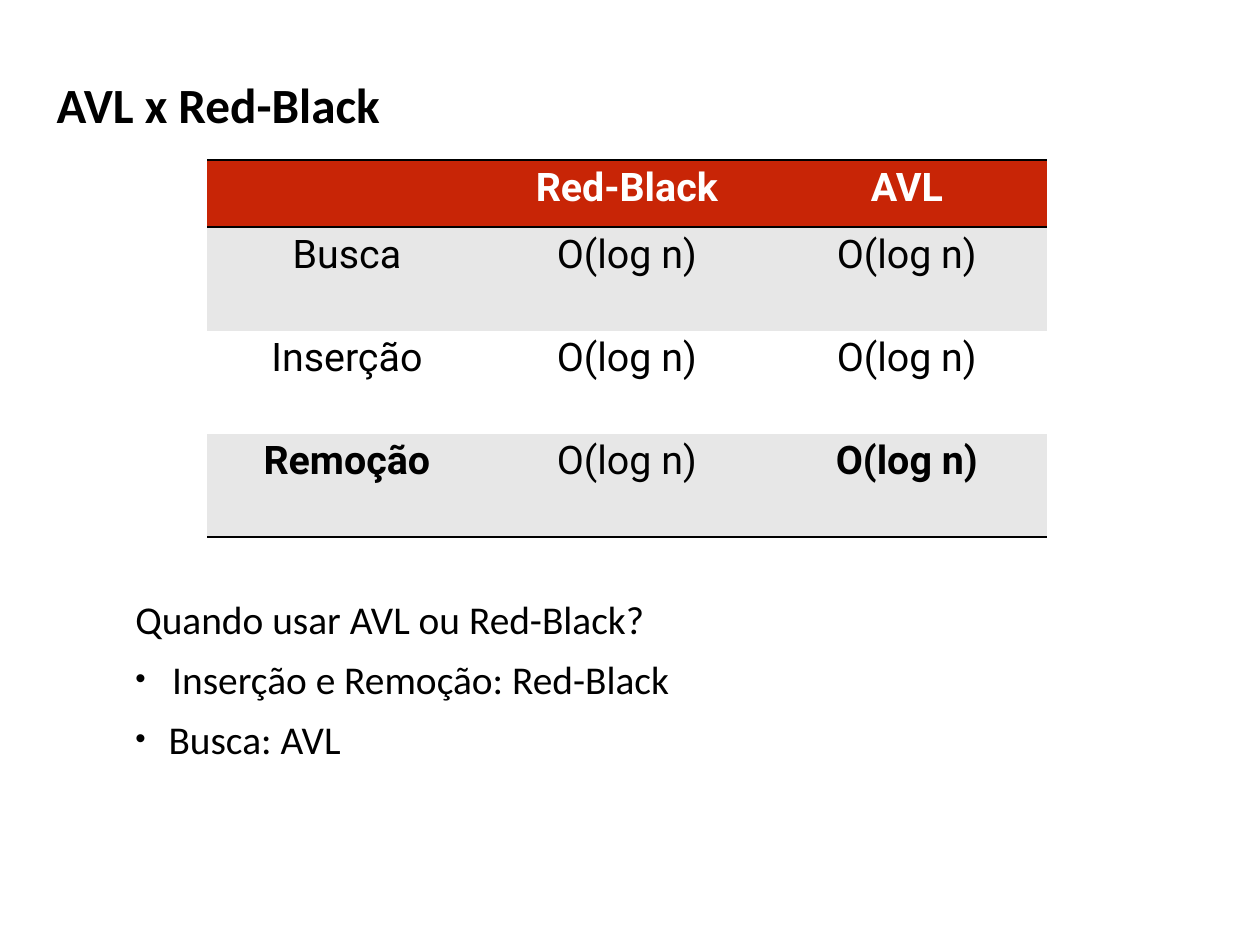
from pptx import Presentation
from pptx.dml.color import RGBColor
from pptx.enum.text import MSO_ANCHOR, PP_ALIGN
from pptx.oxml.xmlchemy import OxmlElement
from pptx.util import Pt

BLACK, WHITE, RED, GREY = "000000", "FFFFFF", "C82506", "E7E7E7"
COSTS = [
    ["", "Red-Black", "AVL"],
    ["Busca", "O(log n)", "O(log n)"],
    ["Inserção", "O(log n)", "O(log n)"],
    ["Remoção", "O(log n)", "O(log n)"],
]
ROW_FILLS = [RED, GREY, WHITE, GREY]
BOLD_CELLS = {(0, 1), (0, 2), (3, 0), (3, 2)}
RULED_EDGES = {0, 1, len(COSTS)}
ADVICE = [
    ("Quando usar AVL ou Red-Black?", 0),
    ("Inserção e Remoção: Red-Black", 30),
    ("Busca: AVL", 27),
]


def rgb(color):
    return RGBColor.from_string(color)


def add_run(paragraph, words, size, font, color=BLACK, bold=False):
    run = paragraph.add_run()
    run.text = words
    run.font.size = Pt(size)
    run.font.name = font
    run.font.bold = bold
    run.font.color.rgb = rgb(color)


def add_child(parent, tag, **attributes):
    child = OxmlElement(tag)
    for key, value in attributes.items():
        child.set(key, str(value))
    parent.append(child)
    return child


def set_insets(frame):
    frame.margin_left = frame.margin_right = Pt(4)
    frame.margin_top = frame.margin_bottom = Pt(4)
    frame.word_wrap = True


def place_heading(slide, left, top, width, height):
    heading = slide.shapes.title
    heading.left, heading.top = Pt(left), Pt(top)
    heading.width, heading.height = Pt(width), Pt(height)
    frame = heading.text_frame
    set_insets(frame)
    frame.vertical_anchor = MSO_ANCHOR.MIDDLE
    frame.paragraphs[0].alignment = PP_ALIGN.LEFT
    add_run(frame.paragraphs[0], "AVL x Red-Black", 40, "Calibri", bold=True)


def set_borders(cell, row):
    properties = cell._tc.get_or_add_tcPr()
    ruled = {"a:lnT": row in RULED_EDGES, "a:lnB": row + 1 in RULED_EDGES}
    for side in ("a:lnL", "a:lnR", "a:lnT", "a:lnB"):
        if ruled.get(side):
            border = add_child(properties, side, w=Pt(2))
            fill = add_child(border, "a:solidFill")
            add_child(fill, "a:srgbClr", val=BLACK)
        else:
            border = add_child(properties, side, w=0)
            add_child(border, "a:noFill")


def place_costs(slide, left, top, width, height):
    header_height = 54.7
    body_height = (height - header_height) / (len(COSTS) - 1)
    costs = slide.shapes.add_table(
        len(COSTS), len(COSTS[0]), Pt(left), Pt(top), Pt(width), Pt(height)
    ).table
    costs.horz_banding = False
    for row, labels in enumerate(COSTS):
        costs.rows[row].height = Pt(body_height if row else header_height)
        for column, label in enumerate(labels):
            cell = costs.cell(row, column)
            set_borders(cell, row)
            cell.fill.solid()
            cell.fill.fore_color.rgb = rgb(ROW_FILLS[row])
            if label:
                paragraph = cell.text_frame.paragraphs[0]
                paragraph.alignment = PP_ALIGN.CENTER
                add_run(paragraph, label, 32, "Roboto",
                        BLACK if row else WHITE, (row, column) in BOLD_CELLS)


def place_advice(slide, left, top, width, height):
    frame = slide.shapes.add_textbox(
        Pt(left), Pt(top), Pt(width), Pt(height)
    ).text_frame
    set_insets(frame)
    for index, (words, indent) in enumerate(ADVICE):
        paragraph = frame.add_paragraph() if index else frame.paragraphs[0]
        paragraph.space_after = Pt(10)
        add_run(paragraph, words, 32, "Calibri")
        if indent:
            properties = paragraph._p.get_or_add_pPr()
            properties.set("marL", str(Pt(indent)))
            properties.set("indent", str(-Pt(indent)))
            add_child(properties, "a:buSzPct", val=75000)
            add_child(properties, "a:buFont", typeface="Arial")
            add_child(properties, "a:buChar", char="•")


def main():
    deck = Presentation()
    deck.slide_width, deck.slide_height = Pt(1024), Pt(768)
    slide = deck.slides.add_slide(deck.slide_layouts[5])
    place_heading(slide, 42, 42, 936, 85)
    place_costs(slide, 168.3, 130, 682.5, 306.7)
    place_advice(slide, 106, 480, 872, 160)
    deck.save("out.pptx")


if __name__ == "__main__":
    main()
